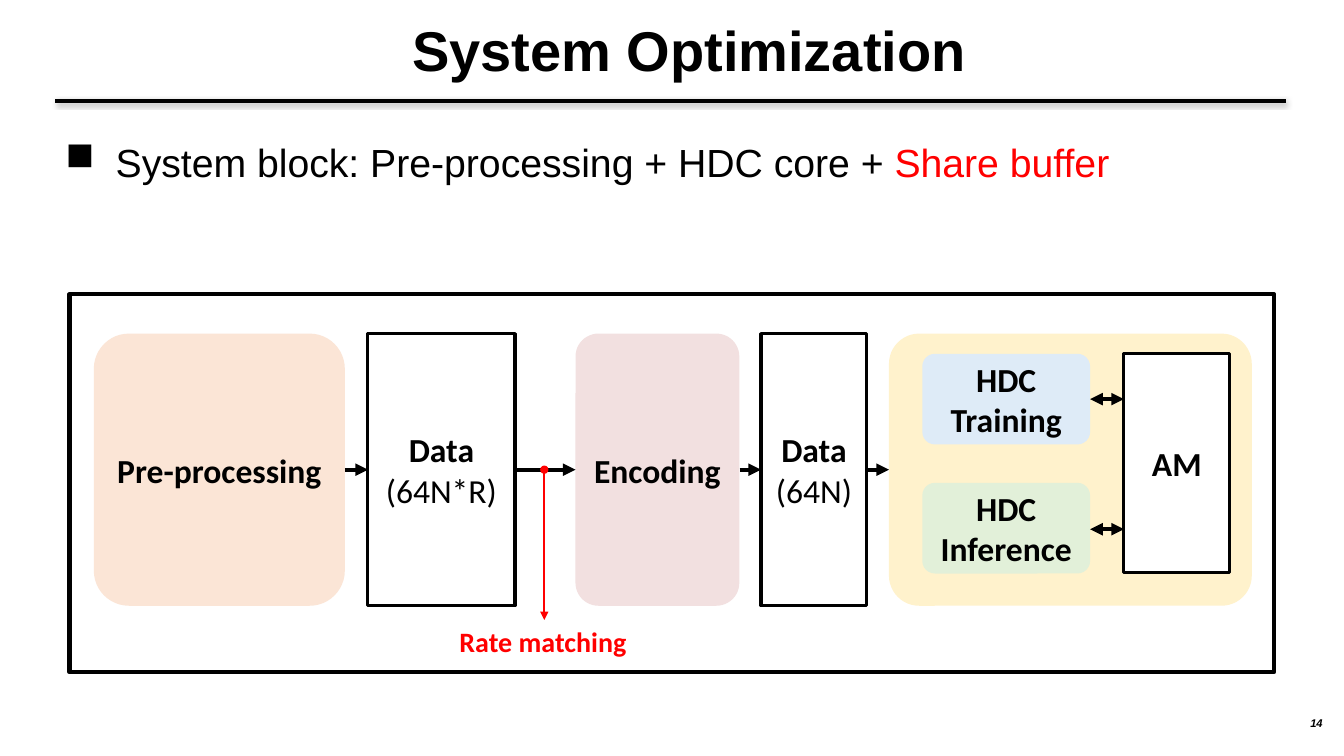
from typing import NamedTuple

from lxml.etree import SubElement
from pptx import Presentation
from pptx.dml.color import RGBColor
from pptx.enum.shapes import MSO_CONNECTOR, MSO_SHAPE
from pptx.enum.text import MSO_ANCHOR, PP_ALIGN
from pptx.oxml.ns import qn
from pptx.util import Pt

BLACK, RED, WHITE = "000000", "FF0000", "FFFFFF"
ROW_TOP, ROW_HEIGHT = 238.3, 194.4
ROW_MIDDLE = ROW_TOP + ROW_HEIGHT / 2
AM_LEFT = 802.8


class Block(NamedTuple):
    lines: tuple[str, ...]
    left: float
    width: float
    fill: str | None
    top: float = ROW_TOP
    height: float = ROW_HEIGHT
    corner: float = 0.14  # 0 gives a plain rectangle
    outline: float = 0


class Arrow(NamedTuple):
    start: tuple[float, float]
    end: tuple[float, float]
    head: str | None = None
    tail: str | None = "triangle"
    color: str = BLACK
    weight: float = 3


BLOCKS = [
    Block((), 49.7, 860.4, None, 210.2, 270, 0, 3),
    Block(("Pre-processing",), 67, 179.3, "FBE5D6"),
    Block((), 635, 259.2, "FFF2CC", corner=0.111),
    Block(("HDC Inference",), 658.8, 119.9, "E2F0D9", 344.9, 64.8),
    Block(("HDC Training",), 658.8, 119.9, "DEEBF7", 252.7, 64.8),
    Block(("AM",), AM_LEFT, 75.6, WHITE, 252.7, 156.5, 0, 2.25),
    Block(("Data", "(64N*R)"), 262.8, 105.1, WHITE, corner=0, outline=2.25),
    Block(("Data", "(64N)"), 543.6, 75.6, WHITE, corner=0, outline=2.25),
    Block(("Encoding",), 411.1, 117, "F2E0E0"),
]
FLOW_STEPS = [(246.3, 262.8), (367.9, 411.1), (528.3, 543.6), (619.8, 635)]
MEMORY_LINKS = [378, 285.1]
ARROWS = [
    *(Arrow((x1, ROW_MIDDLE), (x2, ROW_MIDDLE)) for x1, x2 in FLOW_STEPS),
    *(Arrow((778.7, y), (AM_LEFT, y), "triangle") for y in MEMORY_LINKS),
    Arrow((388.8, ROW_MIDDLE), (388.8, 442.8), "oval", color=RED, weight=1.5),
]


def rgb(color: str) -> RGBColor:
    return RGBColor.from_string(color)


def set_font(paragraph, size: float, name: str = "Calibri", color: str = BLACK,
             bold: bool = True, italic: bool = False) -> None:
    font = paragraph.font
    font.size, font.name, font.bold, font.italic = Pt(size), name, bold, italic
    font.color.rgb = rgb(color)


def add_label(slide, left: float, top: float, width: float, height: float,
              text: str = "", wrap: bool = True):
    frame = slide.shapes.add_textbox(Pt(left), Pt(top), Pt(width), Pt(height)).text_frame
    frame.word_wrap = wrap
    paragraph = frame.paragraphs[0]
    if text:
        paragraph.text = text
    return frame, paragraph


def add_block(slide, block: Block) -> None:
    kind = MSO_SHAPE.ROUNDED_RECTANGLE if block.corner else MSO_SHAPE.RECTANGLE
    shape = slide.shapes.add_shape(kind, Pt(block.left), Pt(block.top),
                                   Pt(block.width), Pt(block.height))
    shape.shadow.inherit = False
    if block.corner:
        shape.adjustments[0] = block.corner
    if block.fill:
        shape.fill.solid()
        shape.fill.fore_color.rgb = rgb(block.fill)
    else:
        shape.fill.background()
    if block.outline:
        shape.line.color.rgb = rgb(BLACK)
        shape.line.width = Pt(block.outline)
    else:
        shape.line.fill.background()
    if block.lines:
        frame = shape.text_frame
        frame.word_wrap = True
        frame.vertical_anchor = MSO_ANCHOR.MIDDLE
        frame.text = "\n".join(block.lines)
        for number, paragraph in enumerate(frame.paragraphs):
            paragraph.alignment = PP_ALIGN.CENTER
            set_font(paragraph, 24, bold=number == 0)


def add_arrow(slide, arrow: Arrow):
    """Draw a line and return its effect list."""
    line = slide.shapes.add_connector(MSO_CONNECTOR.STRAIGHT,
                                      *map(Pt, arrow.start + arrow.end))
    line.line.color.rgb = rgb(arrow.color)
    line.line.width = Pt(arrow.weight)
    outline = line.line._get_or_add_ln()
    for tag, ending in (("a:headEnd", arrow.head), ("a:tailEnd", arrow.tail)):
        if ending:
            SubElement(outline, qn(tag), type=ending)
    return SubElement(line._element.spPr, qn("a:effectLst"))


def add_heading(slide) -> None:
    title = slide.shapes.title
    title.left, title.top, title.width, title.height = map(Pt, (46.1, -0.7, 892.1, 72))
    title.text_frame.text = "System Optimization"
    title.text_frame.vertical_anchor = MSO_ANCHOR.MIDDLE
    heading = title.text_frame.paragraphs[0]
    heading.alignment = PP_ALIGN.CENTER
    set_font(heading, 40, "Arial")

    # Rule with a soft shadow below it
    effects = add_arrow(slide, Arrow((39.6, 72), (918.7, 72), tail=None))
    shadow = SubElement(effects, qn("a:outerShdw"), blurRad=str(Pt(3.1)),
                        dist=str(Pt(1.8)), dir="5400000", rotWithShape="0")
    shade = SubElement(shadow, qn("a:srgbClr"), val=BLACK)
    SubElement(shade, qn("a:alpha"), val="35000")


def add_summary(slide) -> None:
    _, summary = add_label(slide, 39.6, 95, 781.9, 41)
    set_font(summary, 28, "Arial", bold=False)
    summary.add_run().text = "System block: Pre-processing + HDC core + "
    buffer = summary.add_run()
    buffer.text = "Share buffer"
    buffer.font.color.rgb = rgb(RED)
    properties = summary._p.get_or_add_pPr()
    properties.set("marL", str(Pt(36)))
    properties.set("indent", str(Pt(-36)))
    bullet = SubElement(properties, qn("a:buChar"), char="■")
    properties.insert(0, bullet)


def main() -> None:
    deck = Presentation()
    deck.slide_width, deck.slide_height = Pt(960), Pt(540)
    slide = deck.slides.add_slide(deck.slide_layouts[5])

    add_heading(slide)
    add_summary(slide)

    # Block diagram
    for block in BLOCKS:
        add_block(slide, block)
    for arrow in ARROWS:
        add_arrow(slide, arrow)
    _, rate_note = add_label(slide, 321.1, 442.8, 134.6, 31.7, "Rate matching", wrap=False)
    set_font(rate_note, 20, color=RED)

    # Slide number
    number_frame, number = add_label(slide, 815.8, 508.3, 136.1, 15.8, "14")
    number_frame.vertical_anchor = MSO_ANCHOR.MIDDLE
    number.alignment = PP_ALIGN.RIGHT
    set_font(number, 8, "Arial", italic=True)

    deck.save("out.pptx")


if __name__ == "__main__":
    main()
